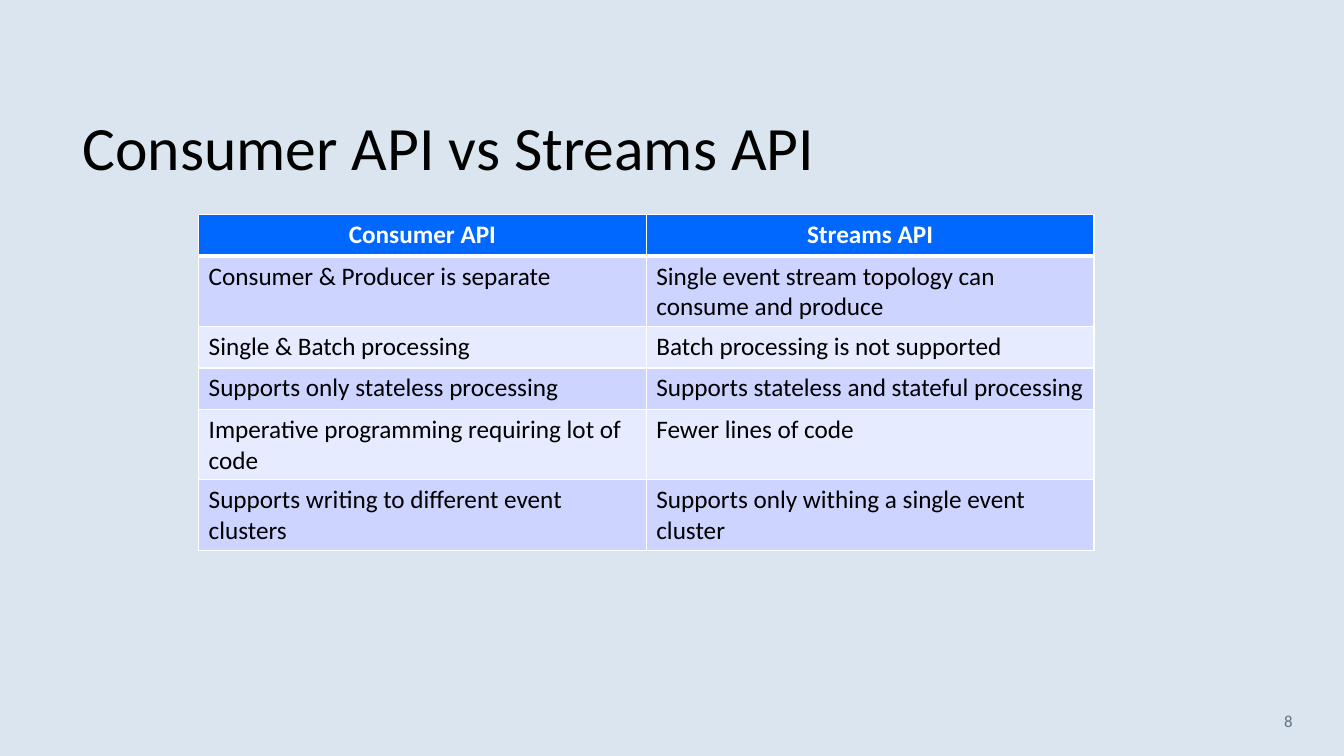
from lxml.etree import SubElement
from pptx import Presentation
from pptx.dml.color import RGBColor
from pptx.enum.text import MSO_ANCHOR, PP_ALIGN
from pptx.oxml.ns import qn
from pptx.util import Inches, Pt

WIDTH, HEIGHT = 13.33, 7.5
FONT = "Calibri"
BACKGROUND, HEADER, BLACK, WHITE, GREY = "DAE5EF", "0068FF", "000000", "FFFFFF", "637183"
BANDS = ["CCD4FF", "E7EBFF"]
COLUMN, ROW = 4.44, 0.41

COMPARISON = [
    ("Consumer API", "Streams API"),
    ("Consumer & Producer is separate", "Single event stream topology can consume and produce"),
    ("Single & Batch processing", "Batch processing is not supported"),
    ("Supports only stateless processing", "Supports stateless and stateful processing"),
    ("Imperative programming requiring lot of code", "Fewer lines of code"),
    ("Supports writing to different event clusters", "Supports only withing a single event cluster"),
]


def color(value):
    return RGBColor.from_string(value)


def write(frame, text, size, ink, bold=False, **layout):
    paragraph = frame.paragraphs[0]
    for key, value in layout.items():
        setattr(paragraph, key, value)
    run = paragraph.add_run()
    run.text = text
    for key, value in {"name": FONT, "size": Pt(size), "bold": bold}.items():
        setattr(run.font, key, value)
    run.font.color.rgb = color(ink)


def add_label(slide, box, text, size, ink, frame_format, **layout):
    frame = slide.shapes.add_textbox(*map(Inches, box)).text_frame
    for key, value in {"word_wrap": True, **frame_format}.items():
        setattr(frame, key, value)
    write(frame, text, size, ink, **layout)


def set_borders(cell, widths):
    properties = cell._tc.get_or_add_tcPr()
    # Border lines come before the fill in a cell's properties
    for index, (side, points) in enumerate(widths.items()):
        line = SubElement(properties, qn(f"a:{side}"), w=str(Pt(points)))
        fill = SubElement(line, qn("a:solidFill"))
        SubElement(fill, qn("a:srgbClr"), val=WHITE)
        properties.insert(index, line)


def add_comparison(slide, left, top, rows):
    row_count, column_count = len(rows), len(rows[0])
    table = slide.shapes.add_table(
        row_count, column_count, Inches(left), Inches(top),
        Inches(COLUMN * column_count), Inches(ROW * row_count)).table
    for row in table.rows:
        row.height = Inches(ROW)

    for r, texts in enumerate(rows):
        is_header = r == 0
        for c, text in enumerate(texts):
            cell = table.cell(r, c)
            cell.fill.solid()
            cell.fill.fore_color.rgb = color(HEADER if is_header else BANDS[(r - 1) % 2])
            set_borders(cell, {"lnL": 1, "lnR": 1, "lnT": 3 if r == 1 else 1,
                               "lnB": 3 if is_header else 1})
            write(cell.text_frame, text, 18, WHITE if is_header else BLACK, is_header,
                  alignment=PP_ALIGN.CENTER if is_header else PP_ALIGN.LEFT)


def main():
    deck = Presentation()
    deck.slide_width, deck.slide_height = Inches(WIDTH), Inches(HEIGHT)
    slide = deck.slides.add_slide(deck.slide_layouts[6])
    slide.background.fill.solid()
    slide.background.fill.fore_color.rgb = color(BACKGROUND)

    # Title
    add_label(slide, (0.82, 0.42, 11.68, 1.45), "Consumer API vs Streams API", 44, BLACK,
              {"vertical_anchor": MSO_ANCHOR.BOTTOM, "margin_left": 0}, line_spacing=0.9)

    # Comparison table
    add_comparison(slide, 1.97, 2.13, COMPARISON)

    # Page number
    add_label(slide, (9.92, 6.95, 3, 0.4), "8", 12, GREY,
              {"vertical_anchor": MSO_ANCHOR.MIDDLE}, alignment=PP_ALIGN.RIGHT)

    deck.save("out.pptx")


if __name__ == "__main__":
    main()
